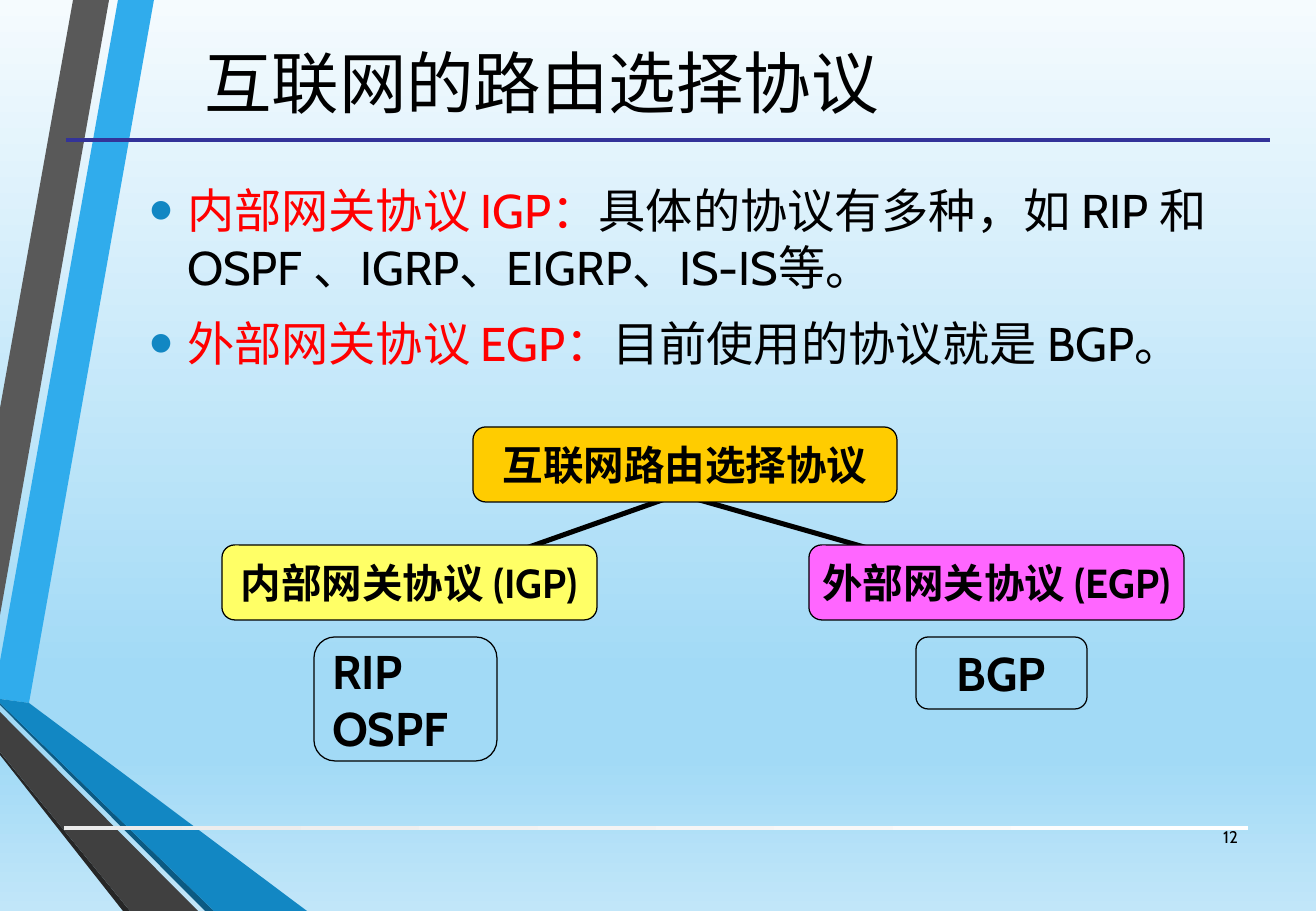
from lxml import etree
from pptx import Presentation
from pptx.dml.color import RGBColor as RGB
from pptx.enum.shapes import MSO_CONNECTOR as CONN, MSO_SHAPE as SHAPE
from pptx.enum.text import MSO_ANCHOR as ANCHOR, MSO_AUTO_SIZE as AUTO, PP_ALIGN as ALIGN
from pptx.oxml.ns import qn
from pptx.util import Pt

PX = 914400 / 121.5
FONT = "Cabin"
HEX = dict(black="000000", red="FF0000", navy="333399", bullet="1287C3",
           gold="FFCC00", pink="FF66FF", yellow="FFFF66")

# Content
TITLE = "互联网的路由选择协议 "
POINTS = [
    ("内部网关协议 IGP：", "具体的协议有多种，如 RIP 和 OSPF 、IGRP、EIGRP、IS-IS等。"),
    ("外部网关协议 EGP：", "目前使用的协议就是 BGP。"),
]
LINKS = [((665, 499), (484, 563)), ((696, 499), (920, 563))]
# box, fill, size, align, lines
NODES = [
    ((314, 637, 183, 124), None, 28, ALIGN.LEFT, ["RIP ", "OSPF"]),
    ((473, 427, 424, 75), "gold", 24, ALIGN.CENTER, ["互联网路由选择协议"]),
    ((916, 637, 171, 72), None, 28, ALIGN.CENTER, ["BGP"]),
    ((809, 545, 375, 75), "pink", 24, ALIGN.CENTER, ["外部网关协议 (EGP)"]),
    ((222, 545, 375, 75), "yellow", 24, ALIGN.CENTER, ["内部网关协议 (IGP)"]),
]
SKY = [(0, "F5FBFE"), (74, "A2DAF6"), (83, "A2DAF6"), (100, "C1E6F9")]
BAND = [(0, "EBEBEB"), (100, "FFFFFF")]
RIBBONS = [
    ("30ACEC", [(0, 661), (0, 699), (29, 703), (154, 0), (118, 0)]),
    ("595959", [(109, 0), (73, 0), (0, 408), (0, 615)]),
    ("262626", [(0, 752), (0, 755), (123, 911), (130, 911)]),
    ("0C5A82", [(0, 703), (0, 705), (205, 911), (214, 911)]),
    ("1287C3", [(0, 703), (214, 911), (307, 911), (29, 703), (0, 699)]),
    ("404040", [(0, 752), (130, 911), (198, 911), (0, 712)]),
]


def emu(*vals):
    return [round(v * PX) for v in vals]


def color(name):
    return RGB.from_string(HEX[name])


def grad(fill, root, stops, angle):
    fill.gradient()
    fill.gradient_angle = angle
    group = next(root.iter(qn("a:gsLst")))
    for old in list(group):
        group.remove(old)
    for pos, tint in stops:
        stop = etree.SubElement(group, qn("a:gs"), pos=str(pos * 1000))
        etree.SubElement(stop, qn("a:srgbClr"), val=tint)


def style(para, size, align=ALIGN.LEFT, bold=False):
    font = para.font
    font.name, font.size, font.bold = FONT, Pt(size), bold
    font.color.rgb = color("black")
    para.alignment = align


def line(start, end, tint, width):
    link = slide.shapes.add_connector(CONN.STRAIGHT, *emu(*start, *end))
    link.line.color.rgb = color(tint)
    link.line.width = Pt(width)
    etree.SubElement(link.element.spPr, qn("a:effectLst"))


def place(shape, box):
    shape.left, shape.top, shape.width, shape.height = emu(*box)
    frame = shape.text_frame
    frame.auto_size = AUTO.NONE
    frame.word_wrap = True
    frame.vertical_anchor = ANCHOR.MIDDLE
    tree.append(shape.element)  # bring in front of the backdrop
    return frame


def bullet(para):
    props = para._p.get_or_add_pPr()
    step = emu(38)[0]
    props.set("marL", str(step))
    props.set("indent", str(-step))
    tint = etree.SubElement(props, qn("a:buClr"))
    etree.SubElement(tint, qn("a:srgbClr"), val=HEX["bullet"])
    etree.SubElement(props, qn("a:buSzPct"), val="145000")
    etree.SubElement(props, qn("a:buFont"), typeface="Arial")
    etree.SubElement(props, qn("a:buChar"), char="•")


deck = Presentation()
deck.slide_width, deck.slide_height = emu(1316, 911)
slide = deck.slides.add_slide(deck.slide_layouts[1])
tree = slide.shapes.element

# Backdrop: sky, ribbons, footer band, title rule
grad(slide.background.fill, slide.element, SKY, 270)
for tint, dots in RIBBONS:
    path = slide.shapes.build_freeform(*dots[0], scale=PX)
    path.add_line_segments(dots[1:], close=True)
    ribbon = path.convert_to_shape()
    ribbon.shadow.inherit = False
    ribbon.fill.solid()
    ribbon.fill.fore_color.rgb = RGB.from_string(tint)
    ribbon.line.fill.background()
band = slide.shapes.add_shape(SHAPE.RECTANGLE, *emu(64, 826, 1184, 4))
band.shadow.inherit = False
grad(band.fill, band.element, BAND, 0)
band.line.fill.background()
line((66, 140), (1270, 140), "navy", 2.25)

# Title and bullets
frame = place(slide.shapes.title, (52, 6, 994, 151))
frame.text = TITLE
style(frame.paragraphs[0], 40, ALIGN.CENTER)

frame = place(slide.placeholders[1], (137, 188, 1109, 177))
for i, (term, text) in enumerate(POINTS):
    para = frame.add_paragraph() if i else frame.paragraphs[0]
    para.space_after = Pt(6)
    bullet(para)
    style(para, 28)
    head = para.add_run()
    head.text = term
    head.font.color.rgb = color("red")
    para.add_run().text = text

# Protocol tree
for start, end in LINKS:
    line(start, end, "black", 3)
for box, tint, size, align, lines in NODES:
    node = slide.shapes.add_shape(SHAPE.ROUNDED_RECTANGLE, *emu(*box))
    node.shadow.inherit = False
    node.adjustments[0] = 0.17
    if tint:
        node.fill.solid()
        node.fill.fore_color.rgb = color(tint)
    else:
        node.fill.background()
    node.line.color.rgb = color("black")
    node.line.width = Pt(0.75)
    frame = node.text_frame
    frame.word_wrap = False
    frame.vertical_anchor = ANCHOR.MIDDLE
    frame.text = "\n".join(lines)
    for para in frame.paragraphs:
        style(para, size, align, True)

# Page number
frame = place(slide.shapes.add_textbox(0, 0, 0, 0), (1188, 812, 62, 49))
frame.text = "12"
style(frame.paragraphs[0], 10, ALIGN.RIGHT)

deck.save("out.pptx")
